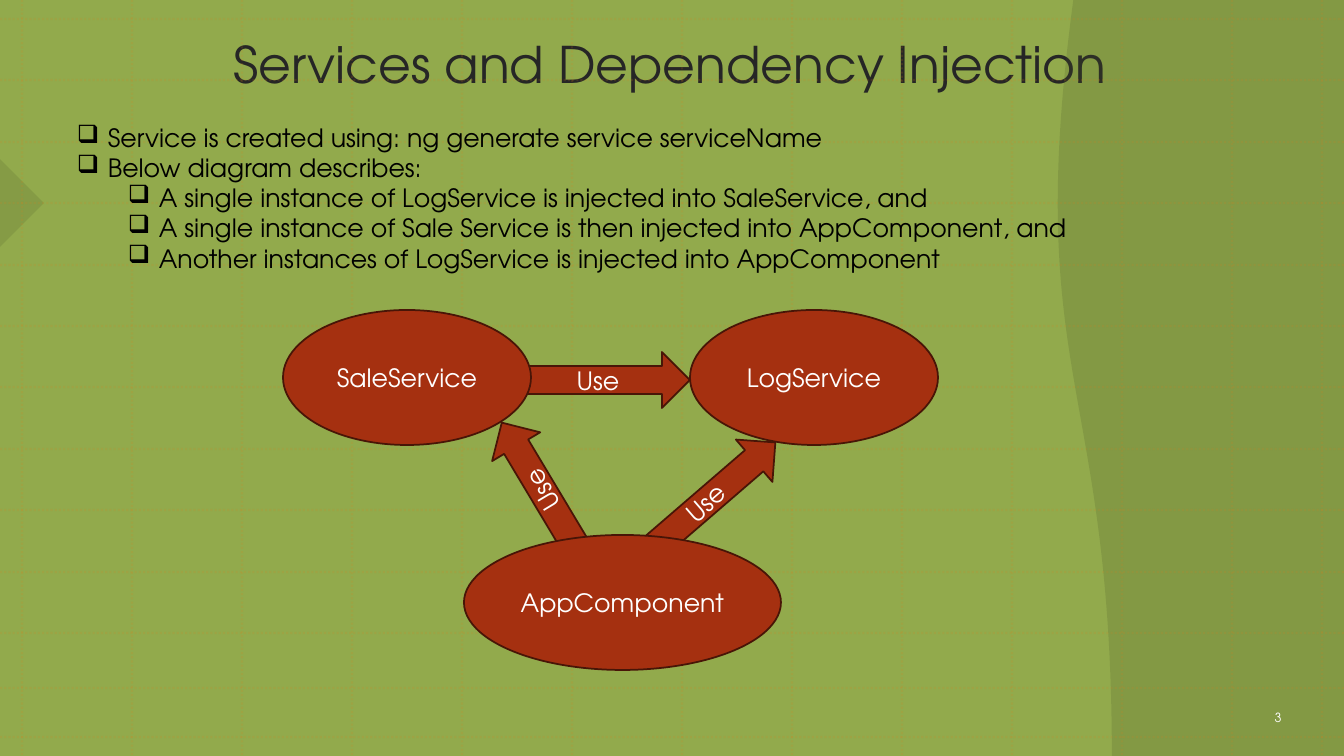
from lxml import etree
from pptx import Presentation
from pptx.dml.color import RGBColor
from pptx.enum.dml import MSO_LINE
from pptx.enum.shapes import MSO_CONNECTOR, MSO_SHAPE
from pptx.enum.text import MSO_ANCHOR, MSO_AUTO_SIZE, PP_ALIGN
from pptx.oxml.ns import qn
from pptx.util import Pt

TITLE = "Services and Dependency Injection "
NUMBER = "3"
BULLETS = [
    (0, "Service is created using: ng generate service serviceName"),
    (0, "Below diagram describes:"),
    (1, "A single instance of LogService is injected into SaleService, and"),
    (1, "A single instance of Sale Service is then injected into AppComponent, and"),
    (1, "Another instances of LogService is injected into AppComponent"),
]
OVAL, ARROW = MSO_SHAPE.OVAL, MSO_SHAPE.RIGHT_ARROW
NODES = [
    (OVAL, "LogService", (690, 310, 248, 135), 0),
    (ARROW, "Use", (626, 470, 170, 56), 319.2),
    (ARROW, "Use", (467, 456, 143, 56), 239.1),
    (OVAL, "AppComponent", (464, 535, 317, 135), 0),
    (ARROW, "Use", (520, 352, 170, 56), 0),
    (OVAL, "SaleService", (283, 310, 248, 135), 0),
]
DECOR = [
    (MSO_SHAPE.RIGHT_TRIANGLE, (-31, 172, 62, 62), 225, 17),
    (MSO_SHAPE.FLOWCHART_DOCUMENT, (822, 232, 756, 292), 90, 20),
]
WIDE, HIGH = 1344, 756
COLS = [22 + 110 * i for i in range(12)] + [1322]
ROWS = [19 + round(61.4 * i) for i in range(11)] + [688, 737]
FONT = "TeX Gyre Adventor"
GREEN, SHADE, GRID = "92AA4C", "495526", "DE7E18"
RED, EDGE, WHITE, BLACK, DARK = "A53010", "481507", "FFFFFF", "000000", "262626"
DOT, LINE = MSO_LINE.ROUND_DOT, MSO_CONNECTOR.STRAIGHT
CENTER, LEFT = PP_ALIGN.CENTER, PP_ALIGN.LEFT
TOP, MIDDLE = MSO_ANCHOR.TOP, MSO_ANCHOR.MIDDLE
SCALE = 914400 / 100.8


def px(*nums):
    return [round(n * SCALE) for n in nums]


def paint(fill, tone, alpha=None):
    fill.solid()
    fill.fore_color.rgb = RGBColor.from_string(tone)
    if alpha:
        clr = fill._xPr.find(".//" + qn("a:srgbClr"))
        etree.SubElement(clr, qn("a:alpha"), val=str(alpha * 1000))


def style(para, size, tone, align=CENTER):
    para.alignment = align
    para.font.name = FONT
    para.font.size = Pt(size)
    para.font.color.rgb = RGBColor.from_string(tone)


def write(shape, text, size, tone, anchor=MIDDLE):
    frame = shape.text_frame
    frame.text = text
    frame.vertical_anchor = anchor
    style(frame.paragraphs[0], size, tone)


def add_form(slide, kind, box, turn):
    shape = slide.shapes.add_shape(kind, *px(*box))
    shape.rotation = turn
    shape.shadow.inherit = False
    return shape


def add_rule(slide, *ends):
    rule = slide.shapes.add_connector(LINE, *px(*ends))
    rule.line.width = Pt(1.5)
    paint(rule.line.fill, GRID, 15)
    rule.line.dash_style = DOT
    etree.SubElement(rule._element.spPr, qn("a:effectLst"))


def add_list(slide):
    frame = slide.shapes.add_textbox(*px(67, 117, 1188, 163)).text_frame
    frame.word_wrap = True
    for i, (level, text) in enumerate(BULLETS):
        para = frame.paragraphs[0] if i == 0 else frame.add_paragraph()
        para.text = text
        para.level = level
        style(para, 18, BLACK, LEFT)
        props = para._p.get_or_add_pPr()
        left, hang = px(31 + 51 * level, -31)
        props.set("marL", str(left))
        props.set("indent", str(hang))
        mark = etree.Element(qn("a:buChar"), char="❑")
        props.insert(0, mark)


def main():
    deck = Presentation()
    deck.slide_width, deck.slide_height = px(WIDE, HIGH)
    slide = deck.slides.add_slide(deck.slide_layouts[5])
    paint(slide.background.fill, GREEN)

    for kind, box, turn, alpha in DECOR:
        shape = add_form(slide, kind, box, turn)
        paint(shape.fill, SHADE, alpha)
        shape.line.fill.background()
    for x in COLS:
        add_rule(slide, x, 0, x, HIGH)
    for y in ROWS:
        add_rule(slide, 0, y, WIDE, y)

    title = slide.shapes.title
    title.left, title.top, title.width, title.height = px(33, 28, 1288, 98)
    write(title, TITLE, 36, DARK, TOP)
    title.text_frame.auto_size = MSO_AUTO_SIZE.NONE

    page = slide.shapes.add_textbox(*px(1234, 698, 88, 40))
    write(page, NUMBER, 9, WHITE)
    page.text_frame.word_wrap = True
    add_list(slide)

    for kind, text, box, turn in NODES:
        shape = add_form(slide, kind, box, turn)
        paint(shape.fill, RED)
        paint(shape.line.fill, EDGE)
        shape.line.width = Pt(1.25)
        write(shape, text, 18, WHITE)
        shape.text_frame.word_wrap = False

    deck.save("out.pptx")


if __name__ == "__main__":
    main()
